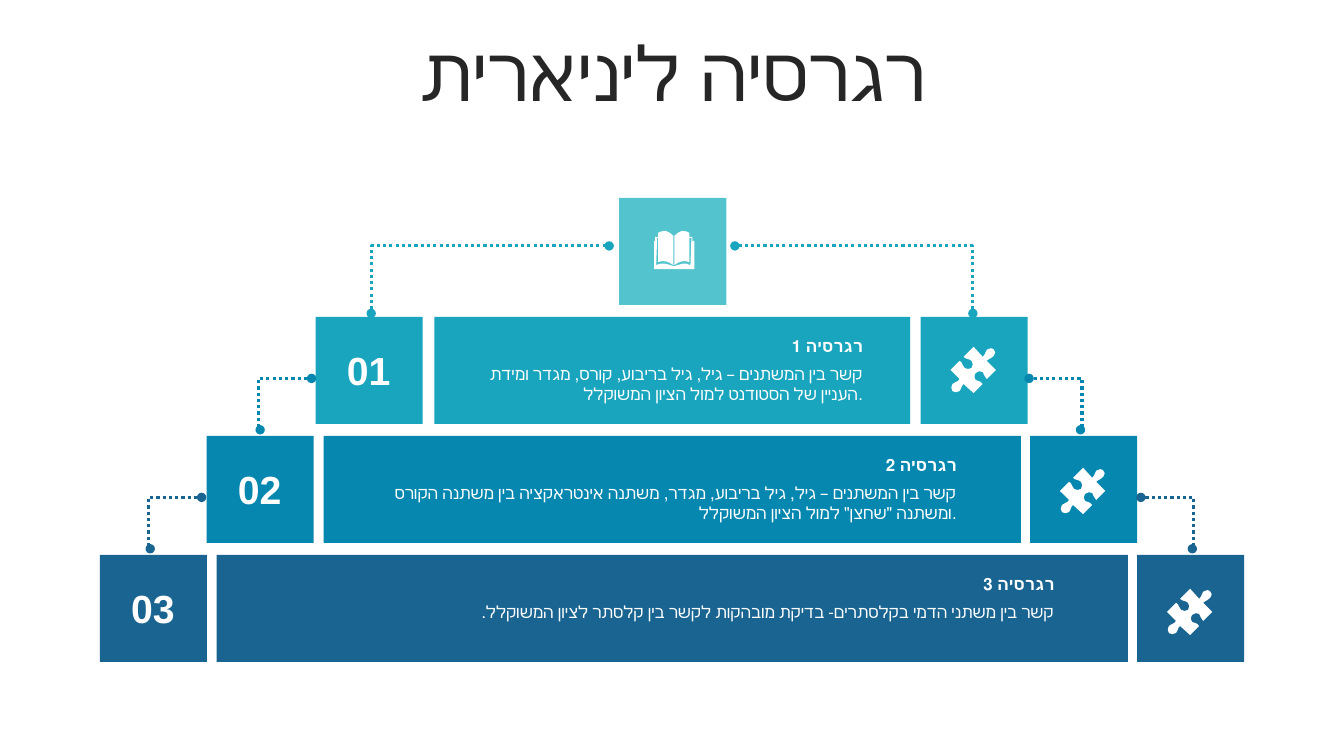
from math import cos, radians, sin

from lxml.etree import SubElement
from pptx import Presentation
from pptx.dml.color import RGBColor
from pptx.enum.dml import MSO_LINE
from pptx.enum.shapes import MSO_CONNECTOR, MSO_SHAPE
from pptx.enum.text import MSO_ANCHOR, MSO_AUTO_SIZE, PP_ALIGN
from pptx.oxml.ns import qn
from pptx.util import Pt

FONT = "Arial"
WHITE = "FFFFFF"
SIDE = 76.5  # edge of every square
STEP = 85  # from one tier to the next
FIRST_TOP = 226.3

# Tiers: number, colour, number left, bar left and width, icon left,
# text left and width, heading, body, right-to-left body
TIERS = [
    ("01", "19A5BE", 225.4, 310.3, 339.8, 657.6, 337.7, 285.8, "רגרסיה 1",
     "קשר בין המשתנים – גיל, גיל בריבוע, קורס, מגדר ומידת העניין של הסטודנט "
     "למול הציון המשוקלל.", False),
    ("02", "0587AF", 147.6, 231.1, 498.2, 735.8, 270, 420.5, "רגרסיה 2",
     "קשר בין המשתנים – גיל, גיל בריבוע, מגדר, משתנה אינטראקציה בין משתנה "
     "הקורס ומשתנה \"שחצן\" למול הציון המשוקלל.", False),
    ("03", "196491", 71.3, 154.8, 650.9, 812.2, 200.9, 559.4, "רגרסיה 3",
     "קשר בין משתני הדמי בקלסתרים- בדיקת מובהקות לקשר בין קלסתר לציון "
     "המשוקלל.", True),
]

# Outlines in hundredths of an inch: two numbers are a line, six a curve
PUZZLE = [
    (20, -20), (22, -19, 22, -16, 20, -14), (18, -11, 16, -12, 13, -9),
    (22, 0), (13, 9), (10, 7, 11, 4, 9, 2), (7, 1, 4, 1, 2, 3),
    (1, 4, 0, 7, 2, 10), (5, 12, 6, 10, 9, 14), (0, 23), (-10, 14),
    (-13, 17, -11, 17, -14, 21), (-16, 23, -19, 22, -21, 21),
    (-22, 19, -23, 16, -21, 14), (-19, 11, -16, 13, -14, 9),
    (-23, 0), (-14, -9), (-10, -7, -12, -4, -9, -2),
    (-7, 0, -4, -1, -2, -2), (-1, -4, 0, -7, -2, -9),
    (-6, -12, -7, -10, -10, -13), (0, -23), (9, -13),
    (12, -16, 11, -17, 13, -20), (15, -22, 19, -22, 20, -20),
]
BOOK = [
    (19, 35), (19, 35, 20, 35, 20, 35), (20, 35),
    (27, 33, 30, 31, 36, 34), (37, 7), (35, 7),
    (35, 15, 35, 23, 35, 31), (30, 29, 25, 30, 20, 34), (20, 7), (20, 6),
    (20, 5), (23, 2, 26, 0, 29, 0), (31, 0, 33, 1, 35, 2),
    (35, 3, 35, 4, 35, 6), (38, 6), (38, 10), (40, 10), (40, 38), (0, 38),
    (0, 10), (1, 10), (1, 6), (4, 6), (4, 4, 4, 3, 4, 2),
    (6, 1, 8, 0, 10, 0), (13, 0, 16, 2, 19, 5), (19, 6), (19, 7), (19, 34),
    (14, 30, 9, 29, 4, 31), (4, 7), (3, 7), (2, 34),
    (9, 31, 13, 33, 19, 35),
]


def colour(code):
    return RGBColor.from_string(code)


def paint(shape, code):
    shape.shadow.inherit = False
    shape.fill.solid()
    shape.fill.fore_color.rgb = colour(code)
    shape.line.fill.background()


def add_block(page, left, top, width, code):
    block = page.shapes.add_shape(
        MSO_SHAPE.RECTANGLE, Pt(left), Pt(top), Pt(width), Pt(SIDE))
    paint(block, code)


def add_text(page, left, top, width, height, text, size, code=WHITE,
             bold=False, align=PP_ALIGN.RIGHT, anchor=MSO_ANCHOR.TOP,
             grow=True, rtl=False):
    box = page.shapes.add_textbox(Pt(left), Pt(top), Pt(width), Pt(height))
    frame = box.text_frame
    frame.word_wrap = True
    frame.vertical_anchor = anchor
    frame.auto_size = (MSO_AUTO_SIZE.SHAPE_TO_FIT_TEXT if grow
                       else MSO_AUTO_SIZE.NONE)
    para = frame.paragraphs[0]
    para.alignment = align
    if rtl:
        para._p.get_or_add_pPr().set("rtl", "1")
    span = para.add_run()
    span.text = text
    span.font.size = Pt(size)
    span.font.bold = bold
    span.font.color.rgb = colour(code)
    span.font.name = FONT
    return para


def add_link(page, begin, end, code, bend=None, turn=0):
    """Dotted elbow with round ends; a turned one has a single corner."""
    link = page.shapes.add_connector(
        MSO_CONNECTOR.ELBOW, *(Pt(value) for value in begin + end))
    link.line.color.rgb = colour(code)
    link.line.width = Pt(2.25)
    link.line.dash_style = MSO_LINE.ROUND_DOT
    props = link._element.spPr
    line = props.find(qn("a:ln"))
    for tip in ("a:headEnd", "a:tailEnd"):
        SubElement(line, qn(tip)).set("type", "oval")
    SubElement(props, qn("a:effectLst"))
    geometry = props.find(qn("a:prstGeom"))
    if turn:
        geometry.set("prst", "bentConnector2")
        props.find(qn("a:xfrm")).set("rot", str(turn * 60000))
    if bend is not None:
        guide = SubElement(geometry.find(qn("a:avLst")), qn("a:gd"))
        guide.set("name", "adj1")
        guide.set("fmla", f"val {bend}")


def add_icon(page, x, y, outline, turn=0):
    c, s = cos(radians(turn)), sin(radians(turn))
    points = [(Pt(x + 0.72 * (c * across + s * down)),
               Pt(y + 0.72 * (c * down - s * across)))
              for segment in outline
              for across, down in zip(segment[::2], segment[1::2])]
    builder = page.shapes.build_freeform(*points[0])
    builder.add_line_segments(points[1:], close=True)
    icon = builder.convert_to_shape()
    # Join each three control points into one curve
    steps = iter(list(icon._element.iter(qn("a:lnTo"))))
    for segment in outline[1:]:
        step = next(steps)
        if len(segment) == 6:
            step.tag = qn("a:cubicBezTo")
            for extra in (next(steps), next(steps)):
                step.append(extra[0])
                extra.getparent().remove(extra)
    icon.rotation = turn
    paint(icon, WHITE)


def add_tier(page, index, tier):
    (number, code, number_left, bar_left, bar_width, icon_left,
     text_left, text_width, heading, body, rtl) = tier
    top = FIRST_TOP + index * STEP
    for left, width in ((number_left, SIDE), (bar_left, bar_width),
                        (icon_left, SIDE)):
        add_block(page, left, top, width, code)
    add_text(page, number_left + 12.7, top + 17.7, 50.4, 41, number, 28,
             bold=True, align=PP_ALIGN.CENTER, anchor=MSO_ANCHOR.MIDDLE)
    add_text(page, text_left, top + 30, text_width, 21.8 if rtl else 36,
             body, 12, rtl=rtl)
    add_text(page, text_left, top + 10, text_width, 21.8, heading, 12,
             bold=True)
    add_icon(page, icon_left + 37.7, 264.2 + index * 86.4, PUZZLE, 45)


def add_links(page):
    for side, turn in ((-1, 90), (1, 270)):
        # From the top square to the first tier
        x, y = 480 + side * 129.9, 199.8
        add_link(page, (x - side * 24.1, y + 85), (x + side * 24.1, y - 85),
                 TIERS[0][1], turn=turn)
        # From each tier to the one below
        for index, centre, outer in ((1, 478.8, 293), (2, 479.5, 372.2)):
            top = FIRST_TOP + index * STEP
            add_link(page, (centre + side * outer, top - 4.3),
                     (centre + side * (outer - 36.7), top - 41),
                     TIERS[index][1], bend=-2900)


def main():
    deck = Presentation()
    deck.slide_width, deck.slide_height = Pt(960), Pt(540)
    page = deck.slides.add_slide(deck.slide_layouts[6])

    # Title
    title = add_text(page, 25.2, 26.6, 911.5, 56.9, "רגרסיה ליניארית", 54,
                     "262626", align=PP_ALIGN.CENTER,
                     anchor=MSO_ANCHOR.MIDDLE, grow=False)
    title.line_spacing = 0.9

    # Pyramid
    add_block(page, 442.3, FIRST_TOP - STEP, SIDE, "53C3CD")
    for index, tier in enumerate(TIERS):
        add_tier(page, index, tier)
    add_links(page)
    add_icon(page, 467.3, 164.9, BOOK)

    deck.save("out.pptx")


if __name__ == "__main__":
    main()
